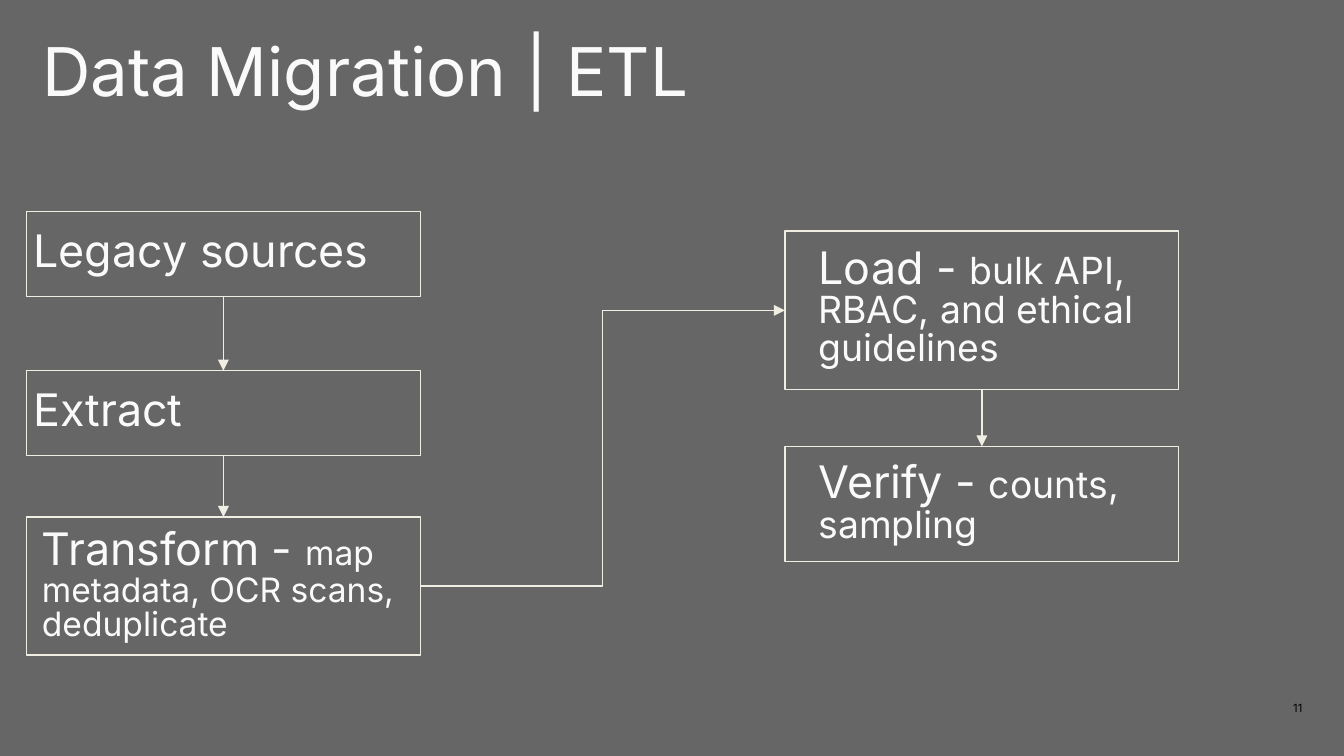
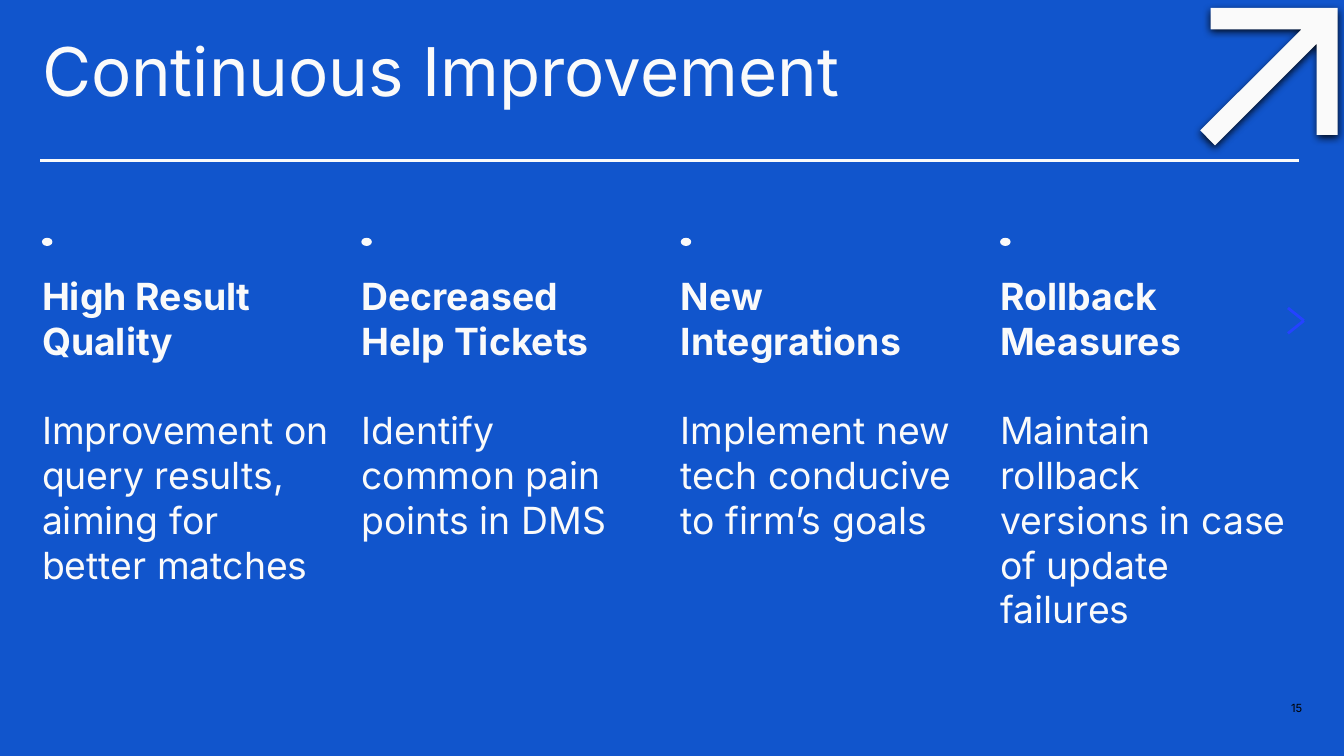
from lxml.etree import SubElement
from pptx import Presentation
from pptx.dml.color import RGBColor
from pptx.enum.shapes import MSO_CONNECTOR as Link, MSO_SHAPE as Preset
from pptx.enum.text import MSO_ANCHOR as Anchor, MSO_AUTO_SIZE as AutoSize, PP_ALIGN as Align
from pptx.oxml.ns import qn
from pptx.util import Pt

GREY = RGBColor(0x66, 0x66, 0x66)
BLUE = RGBColor(0x11, 0x55, 0xCC)
BRIGHT_BLUE = RGBColor(0x24, 0x43, 0xFF)
WHITE = RGBColor(0xFA, 0xFA, 0xFA)
CREAM = RGBColor(0xF0, 0xEE, 0xE2)
BLACK = RGBColor(0, 0, 0)

FONT = "Inter"
MARGIN = 22.5
TOP, LEFT, BOTTOM, RIGHT = range(4)
BOX_WIDTH = 211
LABEL_WIDTH = 194.4


def pts(*lengths):
    return [Pt(length) for length in lengths]


def format_run(run, size, color=WHITE, bold=False):
    run.font.name = FONT
    run.font.size = Pt(size)
    run.font.bold = bold
    run.font.color.rgb = color


def add_frame(slide, box, right_inset=0):
    frame = slide.shapes.add_textbox(*pts(*box)).text_frame
    frame.margin_left = frame.margin_top = frame.margin_bottom = 0
    frame.margin_right = Pt(right_inset)
    frame.word_wrap = True
    frame.auto_size = AutoSize.SHAPE_TO_FIT_TEXT
    return frame


def add_heading(slide, box, parts):
    paragraph = add_frame(slide, box).paragraphs[0]
    paragraph.line_spacing = 0.85
    for text, size in parts:
        run = paragraph.add_run()
        run.text = text
        format_run(run, size)


def add_line(shapes, start, end, color, width, link=Link.STRAIGHT, arrow=False):
    line = shapes.add_connector(link, *pts(*start, *end))
    line.line.color.rgb = color
    line.line.width = Pt(width)
    properties = line._element.spPr
    if arrow:
        SubElement(properties.find(qn("a:ln")), qn("a:tailEnd"), type="triangle")
    SubElement(properties, qn("a:effectLst"))
    return line


def add_page_number(slide, number, box):
    frame = add_frame(slide, box)
    frame.auto_size = AutoSize.NONE
    frame.vertical_anchor = Anchor.MIDDLE
    frame.text = number
    frame.paragraphs[0].alignment = Align.RIGHT
    format_run(frame.paragraphs[0].runs[0], 6, BLACK)


def start_slide(deck, background, title, number):
    slide = deck.slides.add_slide(deck.slide_layouts[6])
    slide.background.fill.solid()
    slide.background.fill.fore_color.rgb = background
    add_heading(slide, (MARGIN, MARGIN, 506, 37.4), [(title, 36)])
    add_page_number(slide, number, (654.5, 376.6, 43.2, 5.8))
    return slide


def add_step(slide, box, label_offset, parts):
    left, top, width, height = box
    inset_left, inset_top = label_offset
    label_box = (left + inset_left, top + inset_top, LABEL_WIDTH, height - 2 * inset_top)
    add_heading(slide, label_box, parts)
    step = slide.shapes.add_shape(Preset.RECTANGLE, *pts(*box))
    step.shadow.inherit = False
    step.fill.background()
    step.line.color.rgb = CREAM
    step.line.width = Pt(0.75)
    return step


def join_steps(slide, source, source_side, target, target_side, link=Link.STRAIGHT):
    arrow = add_line(slide.shapes, (0, 0), (0, 0), CREAM, 0.75, link, arrow=True)
    arrow.begin_connect(source, source_side)
    arrow.end_connect(target, target_side)


def add_step_column(slide, left, steps):
    column = [
        add_step(slide, (left, top, BOX_WIDTH, height), offset, parts)
        for top, height, offset, parts in steps
    ]
    for upper, lower in zip(column, column[1:]):
        join_steps(slide, upper, BOTTOM, lower, TOP)
    return column


def build_migration(deck):
    slide = start_slide(deck, GREY, "Data Migration | ETL", "11")
    preparation = add_step_column(slide, 14.2, [
        (113.4, 45.4, (3.8, 10.4), [("Legacy sources", 24)]),
        (198.6, 45.4, (3.8, 10.4), [("Extract", 24)]),
        (277, 74, (8.3, 6.5),
         [("Transform - ", 24), ("map metadata, OCR scans, deduplicate", 18)]),
    ])
    delivery = add_step_column(slide, 420.5, [
        (123.8, 85, (18, 8.8),
         [("Load - ", 24), ("bulk API, RBAC, and ethical guidelines", 20)]),
        (239.2, 61.6, (18, 8.4), [("Verify - ", 24), ("counts, sampling", 20)]),
    ])
    join_steps(slide, preparation[-1], RIGHT, delivery[0], LEFT, Link.ELBOW)


def add_improvement(slide, box, heading, detail):
    left, top, width, height = box
    dot = slide.shapes.add_shape(Preset.OVAL, *pts(left, top, 5.6, 4.4))
    dot.shadow.inherit = False
    dot.fill.solid()
    dot.fill.fore_color.rgb = WHITE
    dot.line.fill.background()

    frame = add_frame(slide, (left, top + 18.8, width, height - 18.8), right_inset=7.2)
    frame.text = f"{heading}\n{detail}"
    for paragraph, bold in zip(frame.paragraphs, (True, False)):
        format_run(paragraph.runs[0], 20, bold=bold)
    frame.paragraphs[1].space_before = Pt(24)


def add_chevron(slide, box):
    left, top, width, height = box
    chevron = slide.shapes.add_group_shape()
    tip = (left + width, top + height / 2)
    for tail_y in (top, top + height):
        add_line(chevron.shapes, tip, (left, tail_y), BRIGHT_BLUE, 1.5)


def add_corner_arrow(slide, box):
    left, top, width, height = box
    outline = [
        (5.6, 0), (5.6, 11.4), (54.4, 11.4), (0, 65.6), (7.9, height),
        (62.4, 19.2), (62.4, 68), (width, 68), (width, 0),
    ]
    points = [pts(left + x, top + y) for x, y in outline]
    builder = slide.shapes.build_freeform(*points[0])
    builder.add_line_segments(points[1:], close=True)
    arrow = builder.convert_to_shape()
    arrow.fill.solid()
    arrow.fill.fore_color.rgb = WHITE
    arrow.line.fill.background()
    arrow.shadow.inherit = False
    effects = arrow._element.spPr.find(qn("a:effectLst"))
    shadow = SubElement(
        effects, qn("a:outerShdw"), blurRad=str(Pt(4.5)), dist=str(Pt(1.5)),
        dir="5400000", algn="bl", rotWithShape="0",
    )
    color = SubElement(shadow, qn("a:srgbClr"), val=str(BLACK))
    SubElement(color, qn("a:alpha"), val="87000")


def build_improvement(deck):
    slide = start_slide(deck, BLUE, "Continuous Improvement", "15")
    add_line(slide.shapes, (21.5, 86), (696, 86), WHITE, 1.5)
    improvements = [
        ("High Result Quality", "Improvement on query results, aiming for better matches"),
        ("Decreased Help Tickets", "Identify common pain points in DMS"),
        ("New Integrations", "Implement new tech conducive to firm’s goals"),
        ("Rollback Measures", "Maintain rollback versions in case of update failures"),
    ]
    for column, (heading, detail) in enumerate(improvements):
        box = (MARGIN + 171.1 * column, 127.4, 162, 189)
        add_improvement(slide, box, heading, detail)
    add_chevron(slide, (690, 165, 8.5, 13.6))
    add_corner_arrow(slide, (643, 4.3, 73.6, 73.6))


def main():
    deck = Presentation()
    deck.slide_width, deck.slide_height = pts(720, 405)
    build_migration(deck)
    build_improvement(deck)
    deck.save("out.pptx")


if __name__ == "__main__":
    main()
